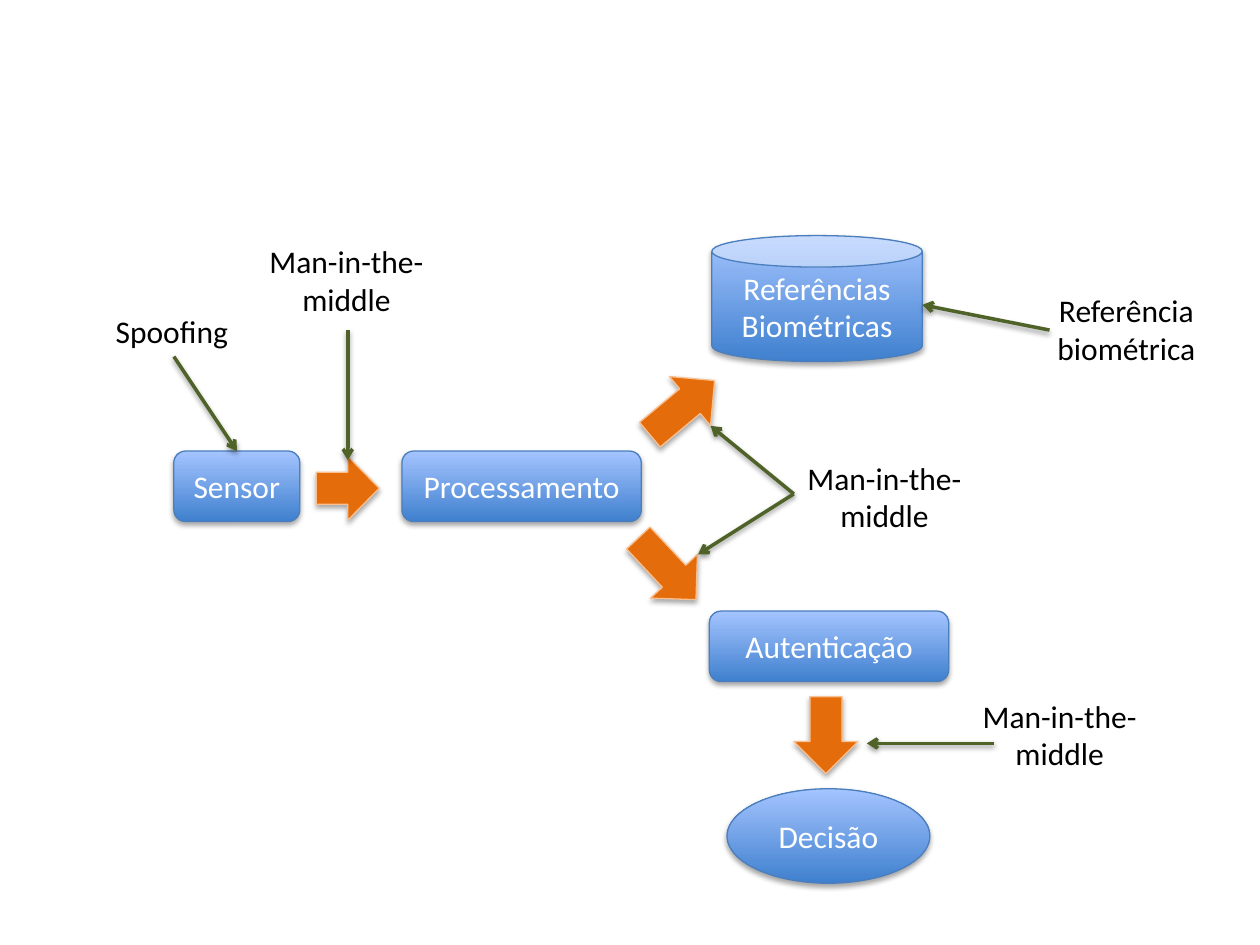
import pptx
import pptx.util
import pptx.dml.color
import pptx.enum.shapes
import pptx.enum.text
import pptx.oxml
import pptx.oxml.ns

Inches = pptx.util.Inches
Pt = pptx.util.Pt
RGBColor = pptx.dml.color.RGBColor
SHAPE = pptx.enum.shapes.MSO_SHAPE
ALIGN = pptx.enum.text.PP_ALIGN

BLUE_DARK = RGBColor(0x3F, 0x80, 0xCE)
BLUE_LIGHT = RGBColor(0xA4, 0xC4, 0xFF)
BLUE_LINE = RGBColor(0x4B, 0x7E, 0xBC)
ORANGE = RGBColor(0xE4, 0x6C, 0x0A)
ORANGE_LINE = RGBColor(0xFA, 0xC0, 0x90)
GREEN = RGBColor(0x4F, 0x62, 0x28)
WHITE = RGBColor(0xFF, 0xFF, 0xFF)
BLACK = RGBColor(0, 0, 0)

STEP_HEIGHT = 0.56
STEP_WIDTH = 1.9
SENSOR_ROW = 3.58
ARROW_HEIGHT = 0.51
ATTACK = "Man-in-the-\nmiddle"


def write_text(frame, text, color=BLACK, align=ALIGN.CENTER, size=18, font="Calibri"):
    for index, line in enumerate(text.split("\n")):
        paragraph = frame.add_paragraph() if index else frame.paragraphs[0]
        paragraph.alignment = align
        run = paragraph.add_run()
        run.text = line
        run.font.size = Pt(size)
        run.font.name = font
        run.font.color.rgb = color


def add_shadow(element, opacity, distance):
    properties = element.spPr
    for effects in properties.findall(pptx.oxml.ns.qn("a:effectLst")):
        properties.remove(effects)
    properties.append(pptx.oxml.parse_xml(
        f'<a:effectLst {pptx.oxml.ns.nsdecls("a")}>'
        f'<a:outerShdw blurRad="{Pt(3.1)}" dist="{Pt(distance)}" dir="5400000" rotWithShape="0">'
        f'<a:srgbClr val="000000"><a:alpha val="{opacity * 1000}"/></a:srgbClr>'
        '</a:outerShdw></a:effectLst>'))


def add_outlined_shape(slide, kind, box, line_color):
    shape = slide.shapes.add_shape(kind, *map(Inches, box))
    shape.line.color.rgb = line_color
    shape.line.width = Pt(0.75)
    add_shadow(shape._element, 35, 1.8)
    return shape


def add_stage(slide, kind, box, text):
    shape = add_outlined_shape(slide, kind, box, BLUE_LINE)
    shape.fill.gradient()
    shape.fill.gradient_angle = 90
    for stop, position, color in zip(shape.fill.gradient_stops, (0, 1), (BLUE_DARK, BLUE_LIGHT)):
        stop.position = position
        stop.color.rgb = color
    shape.text_frame.vertical_anchor = pptx.enum.text.MSO_ANCHOR.MIDDLE
    write_text(shape.text_frame, text, color=WHITE)
    return shape


def add_flow_arrow(slide, left, top, width, rotation):
    shape = add_outlined_shape(slide, SHAPE.RIGHT_ARROW, (left, top, width, ARROW_HEIGHT), ORANGE_LINE)
    shape.fill.solid()
    shape.fill.fore_color.rgb = ORANGE
    shape.rotation = rotation


def add_attack_line(slide, start, end):
    connector = slide.shapes.add_connector(
        pptx.enum.shapes.MSO_CONNECTOR.STRAIGHT, *map(Inches, start + end))
    connector.line.color.rgb = GREEN
    connector.line.width = Pt(2)
    connector.line._get_or_add_ln().append(pptx.oxml.parse_xml(
        f'<a:tailEnd {pptx.oxml.ns.nsdecls("a")} type="arrow"/>'))
    add_shadow(connector._element, 38, 1.6)
    return connector


def add_label(slide, box, text, align=ALIGN.CENTER):
    frame = slide.shapes.add_textbox(*map(Inches, box)).text_frame
    frame.word_wrap = False
    frame.auto_size = pptx.enum.text.MSO_AUTO_SIZE.SHAPE_TO_FIT_TEXT
    write_text(frame, text, align=align)


def main():
    presentation = pptx.Presentation()
    presentation.slide_width = Inches(10)
    presentation.slide_height = Inches(7.5)
    slide = presentation.slides.add_slide(presentation.slide_layouts[6])

    rounded = SHAPE.ROUNDED_RECTANGLE
    sensor = add_stage(slide, rounded, (1.38, SENSOR_ROW, 1, STEP_HEIGHT), "Sensor")
    add_stage(slide, rounded, (3.19, SENSOR_ROW, STEP_WIDTH, STEP_HEIGHT), "Processamento")
    add_stage(slide, rounded, (5.63, 4.85, STEP_WIDTH, STEP_HEIGHT), "Autenticação")
    add_stage(slide, SHAPE.CAN, (5.65, 1.87, 1.67, 1), "Referências\nBiométricas")
    add_stage(slide, SHAPE.OVAL, (5.77, 6.26, 1.61, 0.75), "Decisão")

    for left, top, width, rotation in (
        (2.51, 3.62, 0.5, 0),
        (5.08, 2.98, 0.67, 320.1),
        (4.96, 4.26, 0.67, 46.9),
        (6.25, 5.58, 0.61, 90),
    ):
        add_flow_arrow(slide, left, top, width, rotation)

    spoofing_line = add_attack_line(slide, (1.38, 2.83), (1.88, SENSOR_ROW))
    spoofing_line.end_connect(sensor, 0)
    fork = (6.3, 3.92)
    for start, end in (
        ((2.76, 2.62), (2.76, 3.65)),
        (fork, (5.64, 3.38)),
        (fork, (5.54, 4.4)),
        ((8.33, 2.62), (7.32, 2.42)),
        ((7.89, 5.9), (6.88, 5.9)),
    ):
        add_attack_line(slide, start, end)

    add_label(slide, (0.82, 2.43, 1.1, 0.4), "Spoofing", align=ALIGN.LEFT)
    for left, top in ((2.03, 1.87), (6.3, 3.59), (7.69, 5.48)):
        add_label(slide, (left, top, 1.44, 0.71), ATTACK)
    add_label(slide, (8.29, 2.26, 1.3, 0.71), "Referência\nbiométrica")

    presentation.save("out.pptx")


if __name__ == "__main__":
    main()
